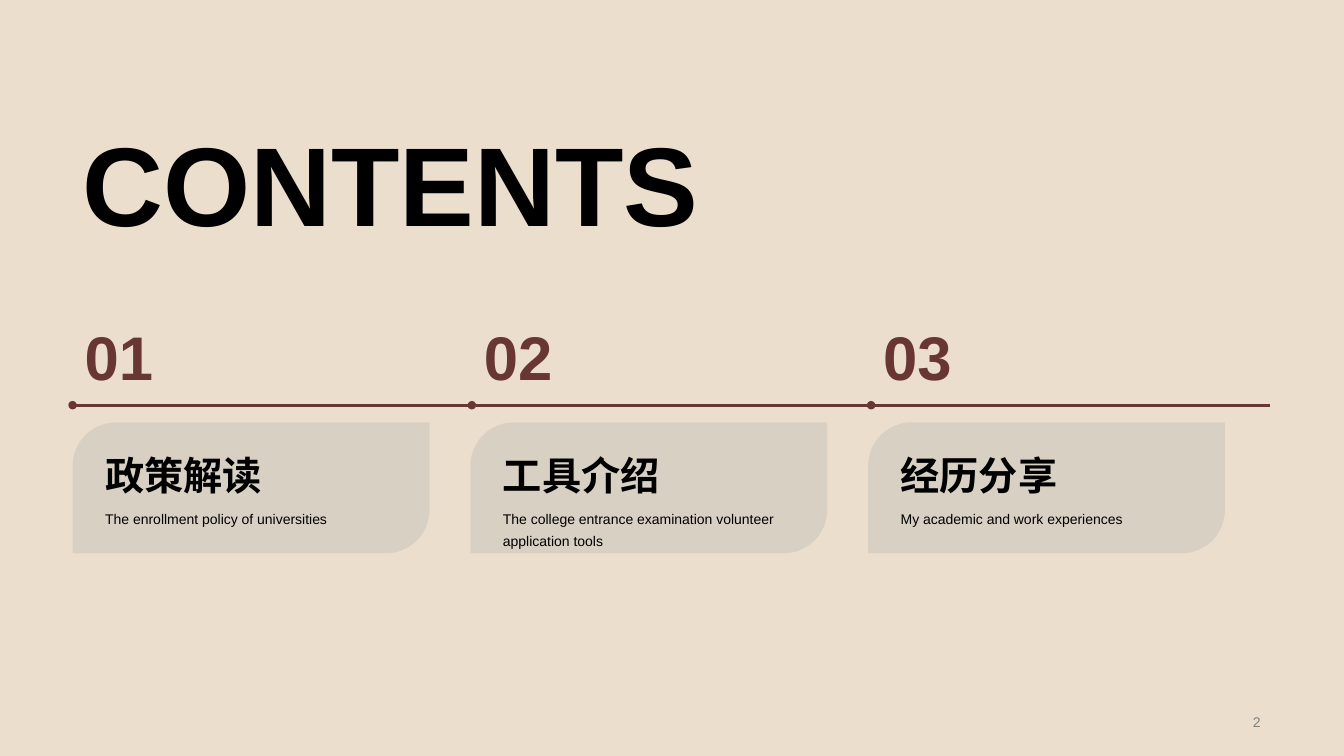
from dataclasses import dataclass

from lxml.etree import SubElement
from pptx import Presentation
from pptx.dml.color import RGBColor
from pptx.enum.shapes import MSO_CONNECTOR as Link, MSO_SHAPE as Shape
from pptx.enum.text import MSO_ANCHOR as Anchor, PP_ALIGN as Align
from pptx.oxml.ns import qn
from pptx.slide import Slide
from pptx.util import Inches, Pt

SAND = RGBColor(0xEB, 0xDE, 0xCD)
WINE = RGBColor(0x68, 0x37, 0x33)
SLATE = RGBColor(0x77, 0x84, 0x95)
BLACK = RGBColor(0, 0, 0)
GRAY = RGBColor(0x80, 0x80, 0x80)

LEFT = 0.72
STEP = 3.96  # between line segments
CARD_STEP = 3.945
LINE_Y = 4.02


@dataclass
class Box:
    left: float
    top: float
    width: float
    height: float


@dataclass
class Style:
    size: float
    color: RGBColor = BLACK
    bold: bool = False
    anchor: Anchor = Anchor.TOP
    align: Align = Align.LEFT
    wrap: bool = True
    spacing: float = 1.0
    before: float = 0
    inset: float | None = None


@dataclass
class Topic:
    name: str
    detail: str


TITLE = Style(80, bold=True, wrap=False, spacing=0.9, before=10)
NUMBER = Style(44, WINE, bold=True, anchor=Anchor.BOTTOM, wrap=False, inset=0.12)
NAME = Style(28, bold=True, anchor=Anchor.BOTTOM)
DETAIL = Style(10, spacing=1.3)
PAGE = Style(10, GRAY, anchor=Anchor.MIDDLE, align=Align.RIGHT)

TOPICS = [
    Topic("政策解读", "The enrollment policy of universities"),
    Topic("工具介绍", "The college entrance examination volunteer application tools"),
    Topic("经历分享", "My academic and work experiences"),
]


def add_text(slide: Slide, text: str, box: Box, style: Style) -> None:
    shape = slide.shapes.add_textbox(
        Inches(box.left), Inches(box.top), Inches(box.width), Inches(box.height))
    frame = shape.text_frame
    frame.word_wrap = style.wrap
    frame.vertical_anchor = style.anchor
    if style.inset is not None:
        frame.margin_left = frame.margin_right = Inches(style.inset)
        frame.margin_top = frame.margin_bottom = Inches(style.inset)
    para = frame.paragraphs[0]
    para.text = text
    para.alignment = style.align
    para.line_spacing = style.spacing
    para.space_before = Pt(style.before)
    font = para.font
    font.name = "Arial"
    font.size = Pt(style.size)
    font.bold = style.bold
    font.color.rgb = style.color


def add_line(slide: Slide, left: float) -> None:
    link = slide.shapes.add_connector(
        Link.STRAIGHT, Inches(left), Inches(LINE_Y), Inches(left + STEP), Inches(LINE_Y))
    link.line.color.rgb = WINE
    link.line.width = Pt(2)
    # Round dot at the start, no shadow
    SubElement(link.line._get_or_add_ln(), qn("a:headEnd"), type="oval")
    SubElement(link._element.spPr, qn("a:effectLst"))


def add_card(slide: Slide, left: float, topic: Topic) -> None:
    card = slide.shapes.add_shape(
        Shape.ROUND_2_DIAG_RECTANGLE, Inches(left), Inches(4.19), Inches(3.54), Inches(1.3))
    card.adjustments[0] = 0.332
    card.adjustments[1] = 0
    card.shadow.inherit = False
    card.line.fill.background()
    card.fill.solid()
    card.fill.fore_color.rgb = SLATE
    # Opacity of 15 %
    color = card._element.spPr.find(qn("a:solidFill"))[0]
    SubElement(color, qn("a:alpha"), val="15000")
    add_text(slide, topic.name, Box(left + 0.225, 4.42, 2.94, 0.57), NAME)
    add_text(slide, topic.detail, Box(left + 0.225, 4.97, 2.94, 0.32), DETAIL)


def main() -> None:
    deck = Presentation()
    deck.slide_width = Inches(13.33)
    deck.slide_height = Inches(7.5)
    slide = deck.slides.add_slide(deck.slide_layouts[6])
    slide.background.fill.solid()
    slide.background.fill.fore_color.rgb = SAND

    # Title and page number
    add_text(slide, "CONTENTS", Box(LEFT, 1.24, 6.38, 1.31), TITLE)
    add_text(slide, "2", Box(9.69, 7.04, 2.91, 0.24), PAGE)

    # Numbered timeline with a card per topic
    for i, topic in enumerate(TOPICS):
        left = LEFT + i * STEP
        add_line(slide, left)
        add_text(slide, f"{i + 1:02}", Box(left, 3.04, 0.93, 0.98), NUMBER)
        add_card(slide, LEFT + i * CARD_STEP, topic)

    deck.save("out.pptx")


if __name__ == "__main__":
    main()
